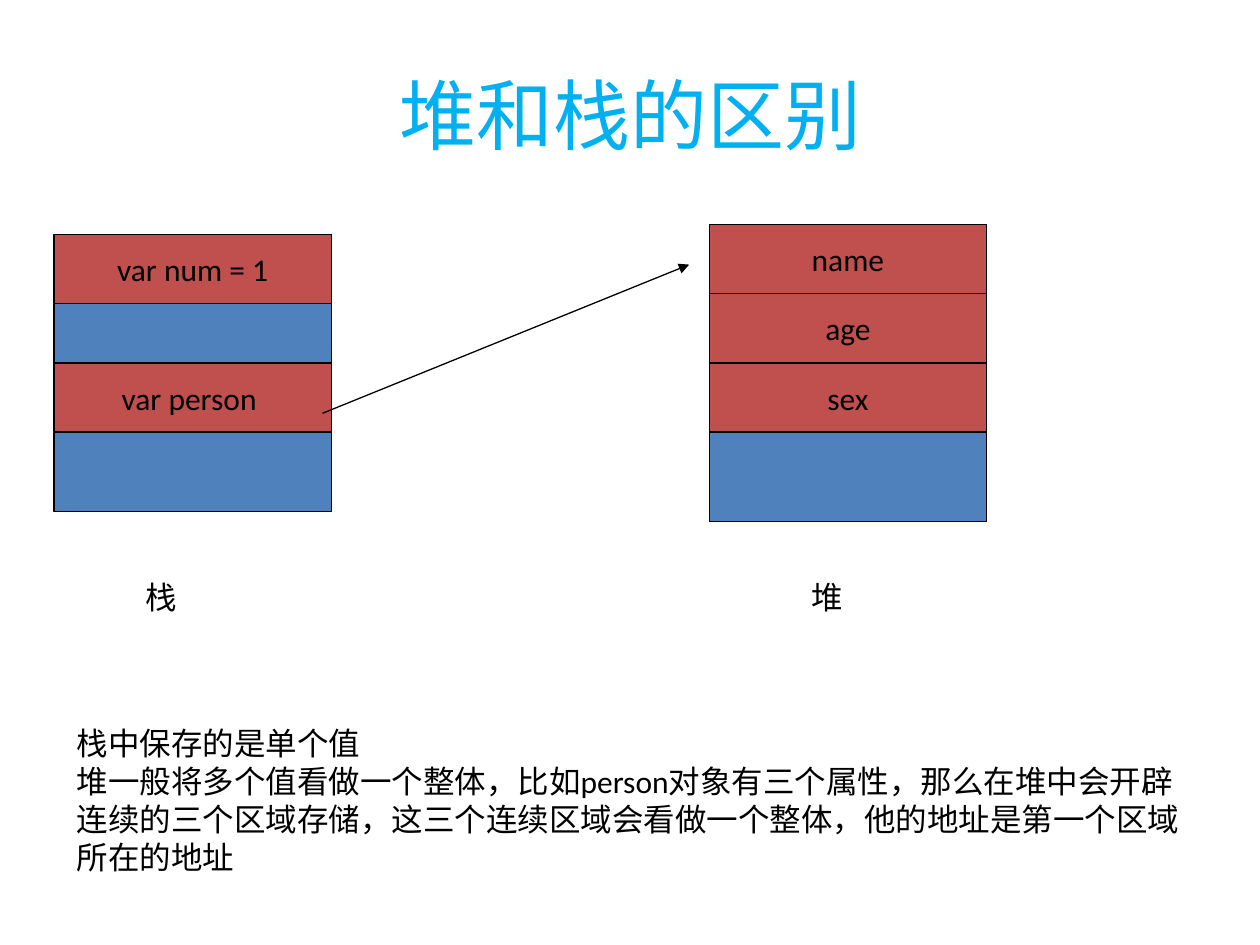
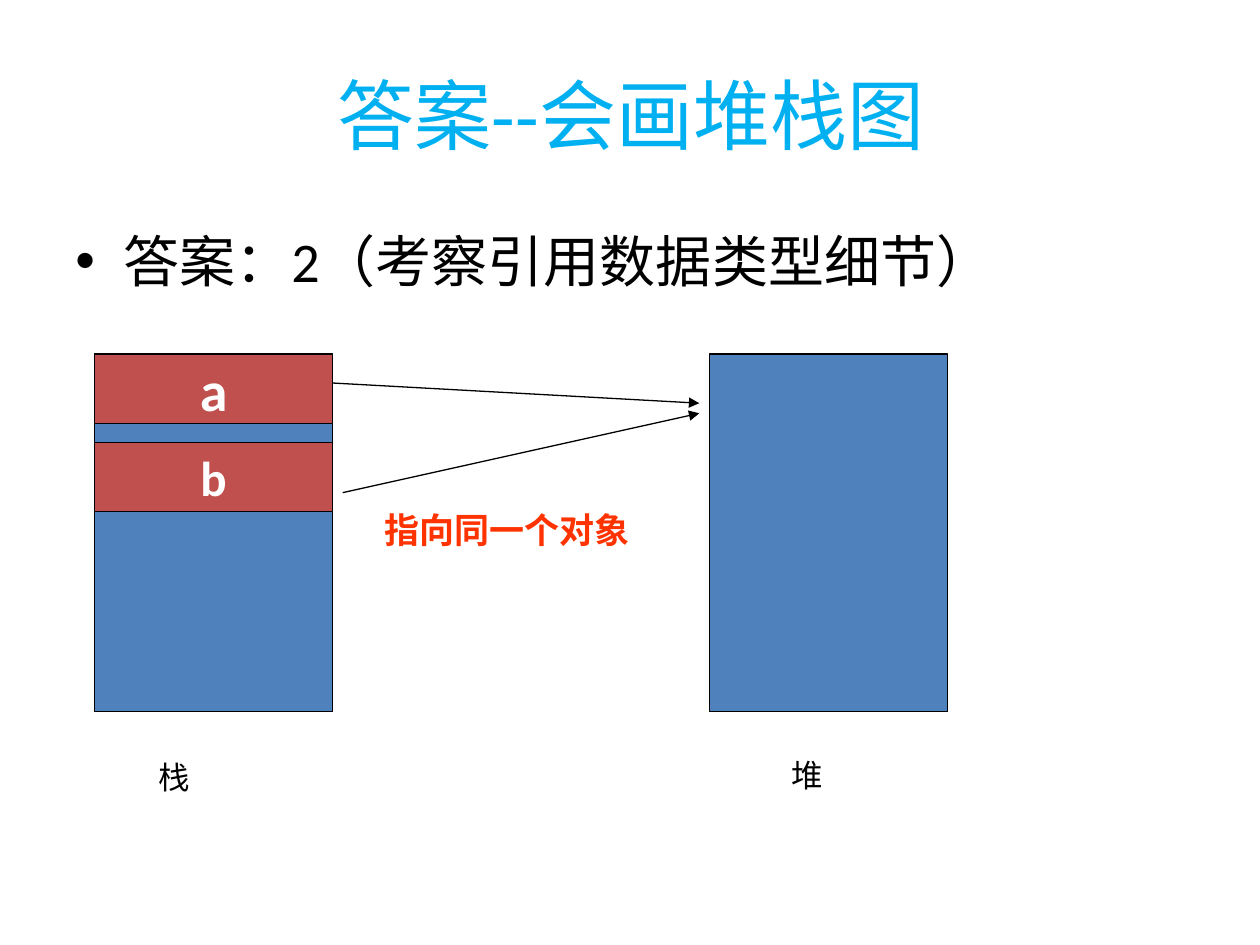
from lxml import etree
from pptx import Presentation
from pptx.dml.color import RGBColor
from pptx.enum.shapes import MSO_CONNECTOR, MSO_SHAPE
from pptx.enum.text import MSO_ANCHOR as Anchor, PP_ALIGN as Align
from pptx.oxml.ns import qn
from pptx.util import Inches, Pt

TITLE_BLUE = RGBColor(0x00, 0xB0, 0xF0)
FREE_BLUE = RGBColor(0x4F, 0x81, 0xBD)
USED_RED = RGBColor(0xC0, 0x50, 0x4D)
NOTE_RED = RGBColor(0xFF, 0x33, 0x00)
BLACK = RGBColor(0x00, 0x00, 0x00)
WHITE = RGBColor(0xFF, 0xFF, 0xFF)

LINE_WIDTH = Pt(0.75)
CELL_HEIGHT = 0.55
HEAP_LEFT = 5.63
TITLE_AT = (0.51, 0.28, 9, 1.25)


def add_box(page, at, text="", fill=None, size=18, color=BLACK, bold=False,
            align=Align.LEFT, anchor=Anchor.TOP):
    """Add an outlined rectangle with centred text, or a text box if there is no fill."""
    place = [Inches(length) for length in at]
    if fill is None:
        box = page.shapes.add_textbox(*place)
    else:
        box = page.shapes.add_shape(MSO_SHAPE.RECTANGLE, *place)
        box.shadow.inherit = False
        box.fill.solid()
        box.fill.fore_color.rgb = fill
        box.line.color.rgb = BLACK
        box.line.width = LINE_WIDTH
        align, anchor = Align.CENTER, Anchor.MIDDLE
    frame = box.text_frame
    frame.word_wrap = fill is None
    frame.vertical_anchor = anchor
    frame.text = text
    for para in frame.paragraphs:
        para.alignment = align
        for span in para.runs:
            span.font.color.rgb = color
            for name, value in {"name": "Calibri", "size": Pt(size), "bold": bold}.items():
                setattr(span.font, name, value)
    return box


def add_arrow(page, start, end):
    ends = [Inches(length) for length in (*start, *end)]
    arrow = page.shapes.add_connector(MSO_CONNECTOR.STRAIGHT, *ends)
    arrow.line.color.rgb = BLACK
    arrow.line.width = LINE_WIDTH
    etree.SubElement(arrow.line._get_or_add_ln(), qn("a:tailEnd"), type="triangle")
    etree.SubElement(arrow._element.spPr, qn("a:effectLst"))


deck = Presentation()
deck.slide_width, deck.slide_height = Inches(10), Inches(7.5)
pages = []
for title in ("堆和栈的区别", "答案--会画堆栈图"):
    page = deck.slides.add_slide(deck.slide_layouts[6])
    add_box(page, TITLE_AT, title, size=44, color=TITLE_BLUE,
            align=Align.CENTER, anchor=Anchor.MIDDLE)
    pages.append(page)
difference_page, answer_page = pages

# Slide 1: single values on the stack, one object on the heap
stack_left, stack_top, heap_top, memory_width = 0.43, 1.86, 1.78, 2.2
add_box(difference_page, (stack_left, stack_top, memory_width, 2.2), fill=FREE_BLUE)
add_box(difference_page, (HEAP_LEFT, heap_top, memory_width, 2.36), fill=FREE_BLUE)
cells = [(stack_left, stack_top, "var num = 1"), (stack_left, 2.88, "var person ")]
for row, field in enumerate(("name", "age", "sex")):
    cells.append((HEAP_LEFT, heap_top + row * CELL_HEIGHT, field))
for left, top, text in cells:
    add_box(difference_page, (left, top, memory_width, CELL_HEIGHT), text, USED_RED)
add_arrow(difference_page, (2.56, 3.28), (5.47, 2.1))
for left, label in ((1.06, "栈"), (6.34, "堆")):
    add_box(difference_page, (left, 4.54, 1.02, 0.4), label)
add_box(difference_page, (0.51, 5.7, 9.06, 1.3),
        "栈中保存的是单个值\n"
        "堆一般将多个值看做一个整体，比如person对象有三个属性，那么在堆中会开辟"
        "连续的三个区域存储，这三个连续区域会看做一个整体，他的地址是第一个区域所在的地址")

# Slide 2: two variables that point to the same object
answer = add_box(answer_page, (0.5, 1.75, 9, 4.95), "答案：2（考察引用数据类型细节）", size=32)
para = answer.text_frame.paragraphs[0]
para.space_before = Pt(6.4)
para_format = para._p.get_or_add_pPr()
para_format.set("marL", str(Inches(0.38)))
para_format.set("indent", str(-Inches(0.38)))
etree.SubElement(para_format, qn("a:buFont"), typeface="Arial")
etree.SubElement(para_format, qn("a:buChar"), char="•")

stack_left, memory_top, memory_width = 0.75, 2.81, 1.89
for left in (stack_left, HEAP_LEFT):
    add_box(answer_page, (left, memory_top, memory_width, 2.84), fill=FREE_BLUE)
for left, top, label in ((1.16, 5.97, "栈"), (6.18, 5.95, "堆")):
    add_box(answer_page, (left, top, 0.77, 0.4), label)
for top, variable, size in ((memory_top, "a", 32), (3.51, "b", 28)):
    add_box(answer_page, (stack_left, top, memory_width, CELL_HEIGHT), variable,
            USED_RED, size, WHITE, bold=True)
for start, end in (((2.64, 3.04), (5.55, 3.2)), ((2.72, 3.91), (5.55, 3.28))):
    add_arrow(answer_page, start, end)
add_box(answer_page, (2.95, 3.99, 2.6, 0.43), "指向同一个对象",
        size=20, color=NOTE_RED, bold=True)

deck.save("out.pptx")
